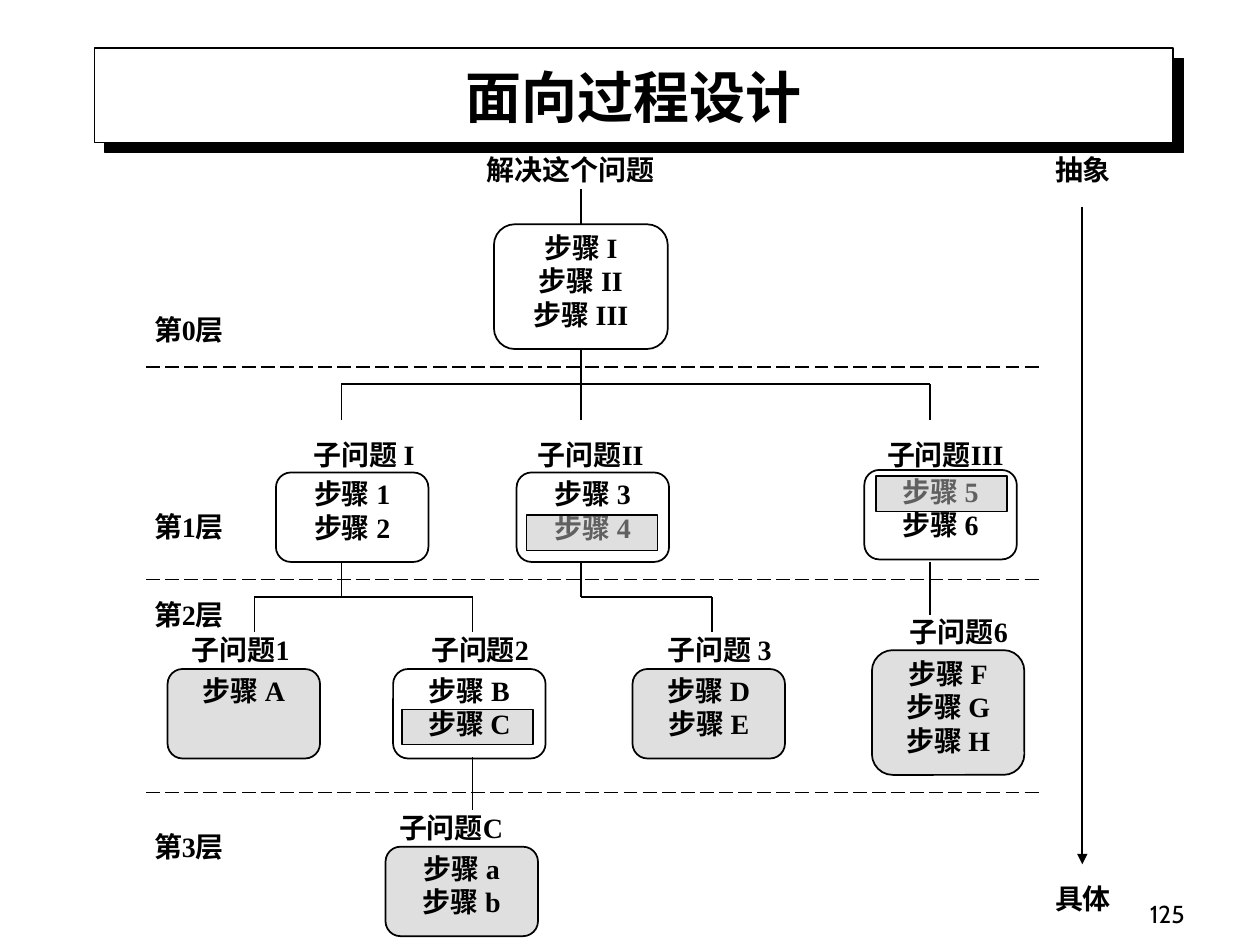
"""Build the procedural design slide: a problem broken into steps over four levels."""
from dataclasses import dataclass

from lxml import etree
from pptx import Presentation
from pptx.dml.color import RGBColor
from pptx.enum.dml import MSO_LINE
from pptx.enum.shapes import MSO_CONNECTOR, MSO_SHAPE
from pptx.enum.text import MSO_ANCHOR, PP_ALIGN
from pptx.oxml.ns import qn
from pptx.util import Inches, Pt


@dataclass(frozen=True)
class Theme:
    ink: RGBColor = RGBColor(0, 0, 0)
    paper: RGBColor = RGBColor(255, 255, 255)
    shade: RGBColor = RGBColor(192, 192, 192)
    head_font: str = "Cabin"
    body_font: str = "Times New Roman"
    title: Pt = Pt(32)
    body: Pt = Pt(16)
    number: Pt = Pt(14)
    rule: Pt = Pt(1)
    frame: Pt = Pt(0.75)


T = Theme()
CENTER, JUSTIFY, RIGHT = PP_ALIGN.CENTER, PP_ALIGN.JUSTIFY, PP_ALIGN.RIGHT
ROUND, RECT = MSO_SHAPE.ROUNDED_RECTANGLE, MSO_SHAPE.RECTANGLE


def write(sp, text, align=CENTER, font=T.body_font, size=T.body, bold=True,
          anchor=MSO_ANCHOR.TOP, inset=(0, 0)):
    tf = sp.text_frame
    tf.word_wrap = True
    tf.vertical_anchor = anchor
    tf.margin_left = tf.margin_right = Inches(inset[0])
    tf.margin_top = tf.margin_bottom = Inches(inset[1])
    tf.text = text
    for p in tf.paragraphs:
        p.alignment = align
        p.font.name, p.font.size, p.font.bold = font, size, bold
        p.font.color.rgb = T.ink


def draw_line(x1, y1, x2, y2):
    ln = s.shapes.add_connector(MSO_CONNECTOR.STRAIGHT, *map(Inches, (x1, y1, x2, y2)))
    ln.line.color.rgb = T.ink
    ln.line.width = T.rule
    etree.SubElement(ln._element.spPr, qn("a:effectLst"))
    return ln


prs = Presentation()
prs.slide_width, prs.slide_height = Inches(10), Inches(7.5)
s = prs.slides.add_slide(prs.slide_layouts[5])

title = s.shapes.title
title.left, title.top, title.width, title.height = map(Inches, (0.83, 0.5, 8.5, 0.58))
write(title, "面向过程设计 ", font=T.head_font, size=T.title,
      anchor=MSO_ANCHOR.BOTTOM, inset=(0.1, 0.05))

banner = s.shapes.add_shape(RECT, *map(Inches, (0.75, 0.38, 8.56, 0.75)))
banner.fill.solid()
banner.fill.fore_color.rgb = T.paper
banner.line.color.rgb = T.ink
banner.line.width = T.frame
effects = etree.SubElement(banner._element.spPr, qn("a:effectLst"))
shadow = etree.SubElement(effects, qn("a:outerShdw"), dist=str(Pt(8.5)),
                          dir=str(45 * 60000), algn="ctr", rotWithShape="0")
etree.SubElement(shadow, qn("a:srgbClr"), val=str(T.ink))
title._element.addprevious(banner._element)

BOX, BAR = (1.21, 0.71), (1.04, 0.28)
boxes = [
    (ROUND, 3.92, 1.78, (1.38, 0.99), False, "步骤 I\n步骤 II\n步骤 III"),
    (ROUND, 2.19, 3.75, BOX, False, "步骤 1\n步骤 2"),
    (ROUND, 4.1, 3.75, BOX, False, "步骤 3\n步骤 4"),
    (RECT, 4.18, 4.09, BAR, True, ""),
    (ROUND, 6.86, 3.73, BOX, False, "步骤 5\n步骤 6"),
    (RECT, 6.95, 3.78, BAR, True, ""),
    (ROUND, 1.33, 5.31, BOX, True, "步骤 A"),
    (RECT, 3.19, 5.63, BAR, True, ""),
    (ROUND, 3.12, 5.31, BOX, False, "步骤 B\n步骤 C"),
    (ROUND, 5.02, 5.31, BOX, True, "步骤 D\n步骤 E"),
    (ROUND, 6.92, 5.16, (1.21, 0.99), True, "步骤 F\n步骤 G\n步骤 H"),
    (ROUND, 3.06, 6.72, BOX, True, "步骤 a\n步骤 b"),
]
drawn = []
for kind, x, y, (w, h), shaded, steps in boxes:
    sp = s.shapes.add_shape(kind, *map(Inches, (x, y, w, h)))
    sp.shadow.inherit = False
    sp.line.color.rgb = T.ink
    sp.line.width = T.rule
    if shaded:
        sp.fill.solid()
        sp.fill.fore_color.rgb = T.shade
        color = sp._element.spPr.find(qn("a:solidFill")).find(qn("a:srgbClr"))
        etree.SubElement(color, qn("a:alpha"), val="50000")
    else:
        sp.fill.background()
    if steps:
        write(sp, steps)
    drawn.append(sp)
root = drawn[0]

labels = [
    ("解决这个问题", 3.75, 1.21, 1.56, CENTER),
    ("子问题 I", 2.37, 3.47, 1.04, CENTER),
    ("子问题II", 4.27, 3.47, 1.04, JUSTIFY),
    ("子问题III", 7.04, 3.47, 1.04, JUSTIFY),
    ("子问题1", 1.39, 5.02, 1.04, CENTER),
    ("子问题2", 3.29, 5.02, 1.04, CENTER),
    ("子问题 3", 5.19, 5.02, 1.04, CENTER),
    ("子问题6", 7.09, 4.88, 1.04, CENTER),
    ("子问题C", 3.06, 6.43, 1.04, CENTER),
    ("抽象", 8.25, 1.21, 0.69, CENTER),
    ("具体", 8.25, 7, 0.69, CENTER),
]
labels += [(f"第{level}层", 0.98, y, 1.04, CENTER)
           for level, y in enumerate((2.48, 4.04, 4.74, 6.58))]
for text, x, y, w, align in labels:
    write(s.shapes.add_textbox(*map(Inches, (x, y, w, 0.28))), text, align)

draw_line(4.61, 1.5, 4.61, 1.78).end_connect(root, 0)
draw_line(4.61, 2.77, 4.61, 3.33).begin_connect(root, 2)
for x1, x2, y in ((2.71, 7.38, 3.05), (2.02, 3.75, 4.74), (4.61, 5.65, 4.74)):
    draw_line(x1, y, x2, y)
drops = [(2.71, 3.05, 3.33), (7.38, 3.05, 3.33), (2.71, 4.46, 4.74), (4.61, 4.46, 4.74),
         (2.02, 4.74, 5.02), (3.75, 4.74, 5.02), (5.65, 4.74, 5.02),
         (7.38, 4.46, 4.88), (3.75, 6.01, 6.43)]
for x, top, bottom in drops:
    draw_line(x, top, x, bottom)

for i in range(3):
    y = 2.91 + 1.69 * i
    draw_line(1.16, y, 8.25, y).line.dash_style = MSO_LINE.LONG_DASH

arrow = draw_line(8.59, 1.64, 8.59, 6.86)
etree.SubElement(arrow.line._get_or_add_ln(), qn("a:tailEnd"), type="triangle")

number = s.shapes.add_textbox(*map(Inches, (7.42, 6.92, 2.08, 0.5)))
write(number, "125", RIGHT, T.head_font, T.number, False, MSO_ANCHOR.BOTTOM, (0.1, 0.05))

prs.save("out.pptx")
